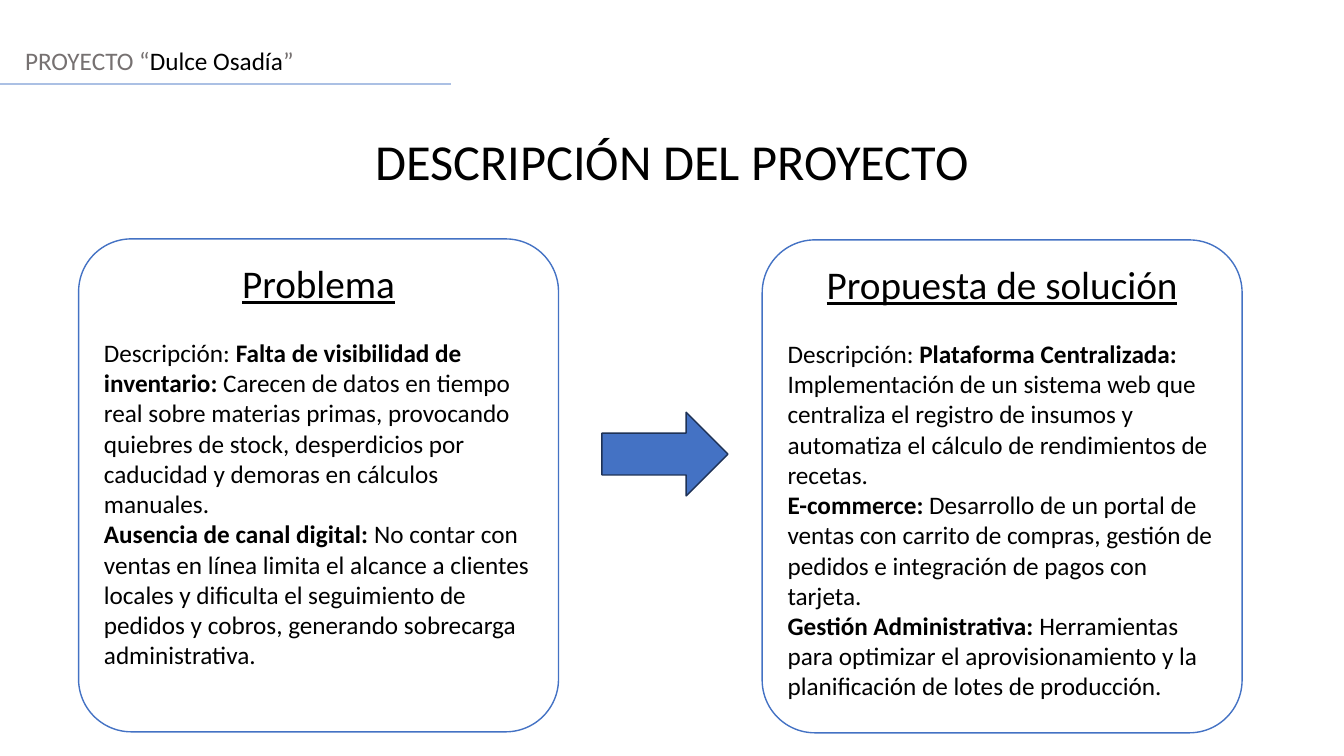
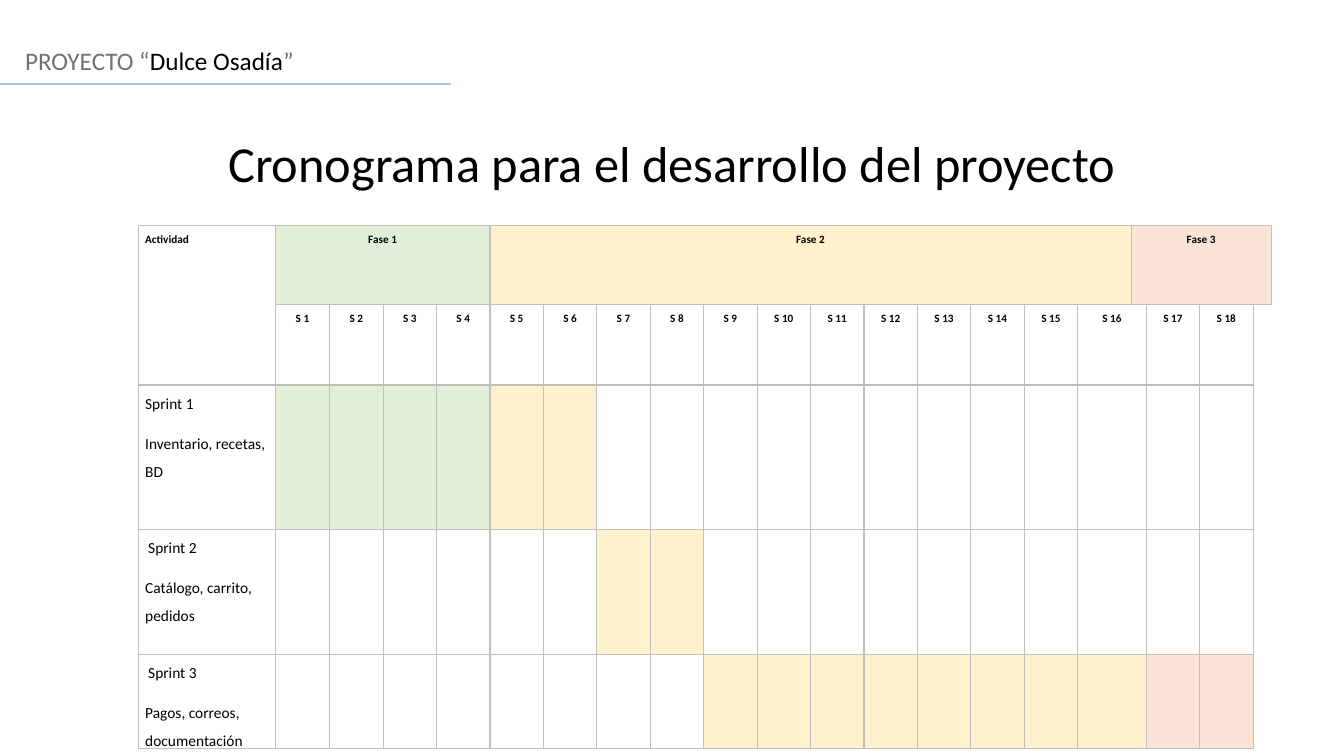
from lxml import etree
from pptx import Presentation
from pptx.dml.color import RGBColor
from pptx.enum.shapes import MSO_CONNECTOR as CONN, MSO_SHAPE as SHAPE
from pptx.enum.text import MSO_ANCHOR as ANCHOR, PP_ALIGN as ALIGN
from pptx.oxml.ns import qn
from pptx.util import Pt

PX = 9144
FONT = "Calibri"
NO_STYLE = "{2D5ABB26-0587-4C30-8999-92F81FD0307C}"
C = {
    "black": "000000", "white": "FFFFFF", "gray": "767171", "rule": "ABC0E4",
    "blue": "4472C4", "navy": "1E3256", "grid": "BFBFBF",
    "green": "E2EFD9", "yellow": "FFF2CC", "pink": "FBE4D5",
}
PHASES = [("Fase 1", 1, 4, "green"), ("Fase 2", 5, 16, "yellow"), ("Fase 3", 17, 18, "pink")]
SPRINTS = [
    ("Sprint 1", "Inventario, recetas, BD", 1, 6, 0),
    ("Sprint 2", "Catálogo, carrito, pedidos", 7, 8, 3),
    ("Sprint 3", "Pagos, correos, documentación", 9, 18, 3),
]
PROBLEM = [
    [("Descripción: ", False), ("Falta de visibilidad de inventario:", True),
     (" Carecen de datos en tiempo real sobre materias primas, provocando quiebres de "
      "stock, desperdicios por caducidad y demoras en cálculos manuales.", False)],
    [("Ausencia de canal digital:", True),
     (" No contar con ventas en línea limita el alcance a clientes locales y dificulta el "
      "seguimiento de pedidos y cobros, generando sobrecarga administrativa.", False)],
]
SOLUTION = [
    [("Descripción: ", False), ("Plataforma Centralizada:", True),
     (" Implementación de un sistema web que centraliza el registro de insumos y "
      "automatiza el cálculo de rendimientos de recetas.", False)],
    [("E-commerce:", True),
     (" Desarrollo de un portal de ventas con carrito de compras, gestión de pedidos e "
      "integración de pagos con tarjeta.", False)],
    [("Gestión Administrativa:", True),
     (" Herramientas para optimizar el aprovisionamiento y la planificación de lotes de "
      "producción.", False)],
]


def rgb(name):
    """Return the palette colour of that name."""
    return RGBColor.from_string(C[name])


def emu(*lengths):
    """Turn px lengths into EMU."""
    return [n * PX for n in lengths]


def add_run(p, text, size=18, color="black", bold=False, underline=False):
    """Append formatted text to a paragraph."""
    r = p.add_run()
    r.text = text
    f = r.font
    f.name, f.size, f.bold, f.underline = FONT, Pt(size), bold, underline
    f.color.rgb = rgb(color)


def add_para(tf, runs, first=False, align=ALIGN.LEFT, before=0, after=0, spacing=1.0, indent=0):
    """Write one paragraph from a list of (text, format) pairs."""
    p = tf.paragraphs[0] if first else tf.add_paragraph()
    p.alignment, p.line_spacing = align, spacing
    p.space_before, p.space_after = Pt(before), Pt(after)
    if indent:
        p._p.get_or_add_pPr().set("indent", str(indent * PX))
    for text, fmt in runs:
        add_run(p, text, **fmt)


def add_text(s, box, runs, align=ALIGN.LEFT):
    """Add a wrapping text box with one paragraph."""
    tf = s.shapes.add_textbox(*emu(*box)).text_frame
    tf.word_wrap = True
    add_para(tf, runs, first=True, align=align)


def add_block(s, kind, box, fill, line):
    """Add a filled and outlined preset shape."""
    sp = s.shapes.add_shape(kind, *emu(*box))
    sp.shadow.inherit = False
    sp.fill.solid()
    sp.fill.fore_color.rgb = rgb(fill)
    sp.line.color.rgb = rgb(line)
    sp.line.width = Pt(1)
    return sp


def new_slide(prs, title, title_box):
    """Add a slide with the project header, its rule and the title."""
    s = prs.slides.add_slide(prs.slide_layouts[6])
    add_text(s, (15, 40, 1333, 40), [
        ("PROYECTO “", {"color": "gray"}), ("Dulce Osadía", {}), ("”", {"color": "gray"})])
    add_text(s, title_box, [(title, {"size": 36})], ALIGN.CENTER)
    rule = s.shapes.add_connector(CONN.STRAIGHT, *emu(0, 83, 447, 83))
    rule.line.color.rgb = rgb("rule")
    rule.line.width = Pt(1.25)
    etree.SubElement(rule._element.spPr, qn("a:effectLst"))
    return s


def add_card(s, box, heading, paras):
    """Add a rounded card with an underlined heading and body text."""
    sp = add_block(s, SHAPE.ROUNDED_RECTANGLE, box, "white", "blue")
    sp.adjustments[0] = 0.11
    tf = sp.text_frame
    tf.word_wrap, tf.vertical_anchor = True, ANCHOR.TOP
    add_para(tf, [(heading, {"size": 28, "underline": True})], first=True,
             align=ALIGN.CENTER, after=22)
    for para in paras:
        add_para(tf, [(text, {"bold": bold}) for text, bold in para])


def set_borders(cell):
    """Draw the grid line on the four sides of a cell."""
    tc_pr = cell._tc.get_or_add_tcPr()
    for i, side in enumerate(("lnL", "lnR", "lnT", "lnB")):
        ln = etree.Element(qn(f"a:{side}"), w=str(Pt(1)))
        fill = etree.SubElement(ln, qn("a:solidFill"))
        etree.SubElement(fill, qn("a:srgbClr"), val=C["grid"])
        tc_pr.insert(i, ln)


def fill_cell(cell, color):
    """Fill a cell with a palette colour."""
    cell.fill.solid()
    cell.fill.fore_color.rgb = rgb(color)


def label(cell, text, align=ALIGN.CENTER):
    """Write a small bold label in a header cell."""
    add_para(cell.text_frame, [(text, {"size": 8, "bold": True})], first=True,
             align=align, after=8, spacing=1.5)


def week_col(week):
    """Return the column where a week starts, as week 16 takes two."""
    return week if week <= 16 else week + 1


def week_color(week):
    """Return the colour of the phase a week belongs to."""
    return next(color for _, start, end, color in PHASES if start <= week <= end)


def add_schedule(s, left, top):
    """Add the table of phases, weeks and sprints."""
    cols = [136, 54] + [53] * 15 + [15, 53, 53, 15]
    rows = [78, 80, 143, 124, 74]
    last = len(cols) - 1
    frame = s.shapes.add_table(len(rows), len(cols), *emu(left, top, sum(cols), sum(rows)))
    t = frame.table
    t.first_row = t.horz_banding = False
    t._tbl.tblPr.find(qn("a:tableStyleId")).text = NO_STYLE
    for col, width in zip(t.columns, cols):
        col.width = width * PX
    for row, height in zip(t.rows, rows):
        row.height = height * PX
    for r in range(len(rows)):
        for c in range(len(cols)):
            cell = t.cell(r, c)
            cell.margin_left = cell.margin_right = 7 * PX
            cell.margin_top = cell.margin_bottom = 0
            cell.fill.background()
            if r == 0 or c < last:
                set_borders(cell)

    t.cell(0, 0).merge(t.cell(1, 0))
    label(t.cell(0, 0), "Actividad", ALIGN.LEFT)
    for name, start, end, color in PHASES:
        first_col = 17 if start == 17 else start
        end_col = last if end == 18 else end
        t.cell(0, first_col).merge(t.cell(0, end_col))
        label(t.cell(0, first_col), name)
        fill_cell(t.cell(0, first_col), color)
    for r in range(1, len(rows)):
        t.cell(r, 16).merge(t.cell(r, 17))
    for week in range(1, 19):
        label(t.cell(1, week_col(week)), f"S {week}")
    for r, (name, task, start, end, indent) in enumerate(SPRINTS, 2):
        tf = t.cell(r, 0).text_frame
        for i, text in enumerate((name, task)):
            add_para(tf, [(text, {"size": 11})], first=i == 0, after=8, spacing=1.5,
                     indent=0 if i else indent)
        for week in range(start, end + 1):
            fill_cell(t.cell(r, week_col(week)), week_color(week))


def description_slide(prs):
    """Build the slide that sets the problem against the solution."""
    s = new_slide(prs, "DESCRIPCIÓN DEL PROYECTO", (0, 124, 1333, 71))
    add_card(s, (78, 237, 476, 489), "Problema", PROBLEM)
    add_card(s, (756, 238, 476, 489), "Propuesta de solución", SOLUTION)
    add_block(s, SHAPE.RIGHT_ARROW, (597, 409, 125, 83), "blue", "navy")


def schedule_slide(prs):
    """Build the slide with the project schedule."""
    s = new_slide(prs, "Cronograma para el desarrollo del proyecto", (0, 126, 1333, 88))
    add_schedule(s, 137, 224)


def main():
    """Build and save the presentation."""
    prs = Presentation()
    prs.slide_width, prs.slide_height = emu(1333, 750)
    description_slide(prs)
    schedule_slide(prs)
    prs.save("out.pptx")


if __name__ == "__main__":
    main()
